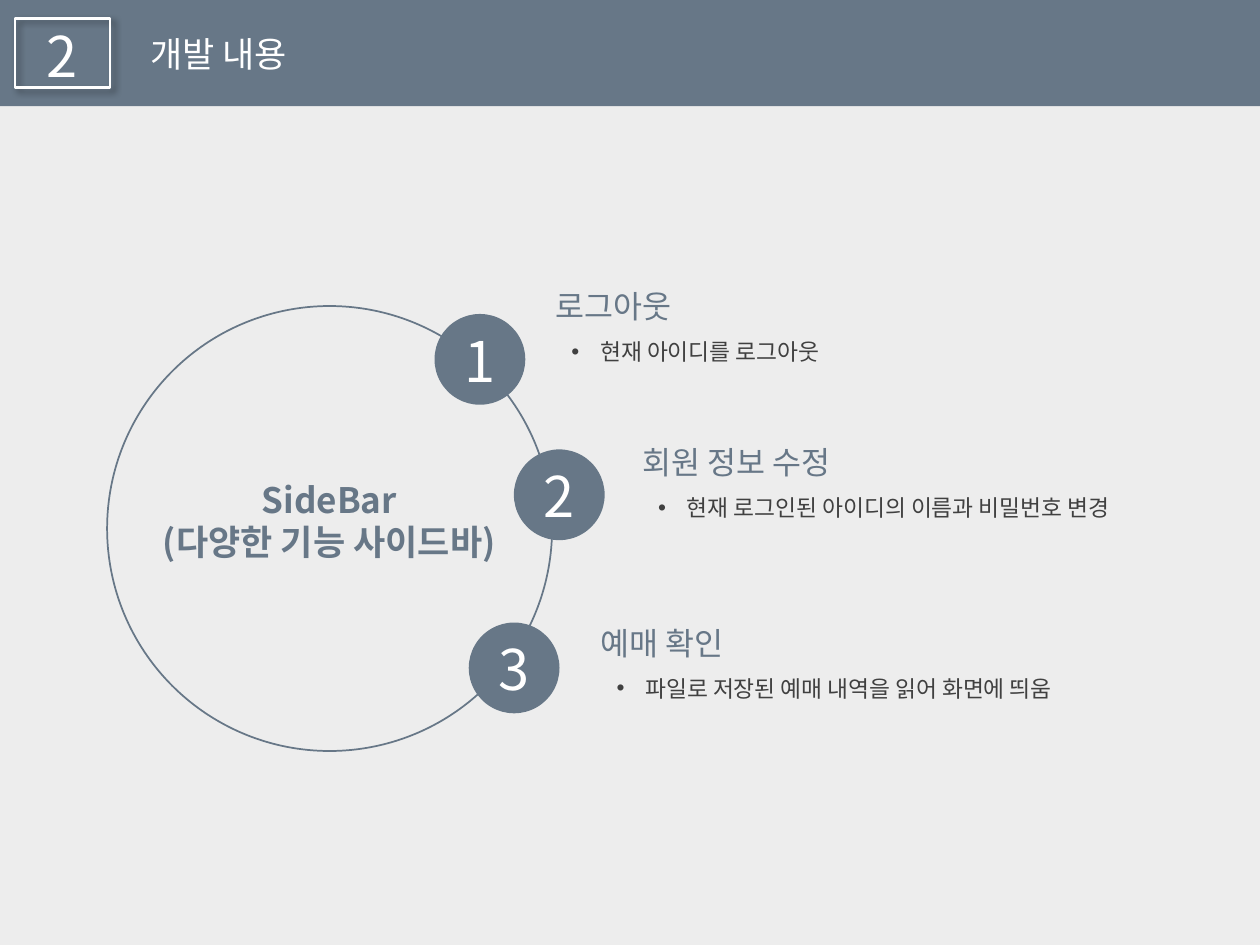
"""Build the sidebar features slide: a header band and three features around a ring."""
from lxml.etree import SubElement
from pptx import Presentation
from pptx.dml.color import RGBColor
from pptx.enum.shapes import MSO_SHAPE
from pptx.enum.text import MSO_ANCHOR, MSO_AUTO_SIZE, PP_ALIGN
from pptx.oxml.ns import qn
from pptx.util import Cm, Pt

FONT = "Noto Sans CJK KR"
COLORS = {"slate": "677787", "text": "404040", "white": "FFFFFF", "back": "EDEDED"}


def add_shape(kind, x, y, w, h, fill=None, line=None, width=1):
    sp = s.shapes.add_shape(kind, Cm(x), Cm(y), Cm(w), Cm(h))
    sp.shadow.inherit = False
    if fill:
        sp.fill.solid()
        sp.fill.fore_color.rgb = RGBColor.from_string(COLORS[fill])
    else:
        sp.fill.background()
    if line:
        sp.line.color.rgb = RGBColor.from_string(COLORS[line])
        sp.line.width = Pt(width)
    else:
        sp.line.fill.background()
    return sp


def add_text(text, x, y, w, h, size=18, color="slate", bold=False,
             align=PP_ALIGN.LEFT, bullet=False, sp=None):
    sp = sp or s.shapes.add_textbox(0, 0, 0, 0)
    sp.left, sp.top, sp.width, sp.height = Cm(x), Cm(y), Cm(w), Cm(h)
    tf = sp.text_frame
    tf.word_wrap = True
    tf.auto_size = MSO_AUTO_SIZE.SHAPE_TO_FIT_TEXT
    tf.vertical_anchor = MSO_ANCHOR.TOP
    for i, line in enumerate(text.split("\n")):
        p = tf.add_paragraph() if i else tf.paragraphs[0]
        p.alignment = align
        r = p.add_run()
        r.text = line
        r.font.size = Pt(size)
        r.font.bold = bold
        r.font.color.rgb = RGBColor.from_string(COLORS[color])
        r.font.name = FONT
        SubElement(r._r.get_or_add_rPr(), qn("a:ea"), typeface=FONT)
        if bullet:
            pPr = p._p.get_or_add_pPr()
            pPr.set("marL", str(Cm(0.58)))
            pPr.set("indent", str(-Cm(0.58)))
            SubElement(pPr, qn("a:buFont"), typeface="Arial")
            SubElement(pPr, qn("a:buChar"), char="•")
    return sp


prs = Presentation()
prs.slide_width, prs.slide_height = Cm(25.4), Cm(19.05)
s = prs.slides.add_slide(prs.slide_layouts[5])
s.background.fill.solid()
s.background.fill.fore_color.rgb = RGBColor.from_string(COLORS["back"])

band = add_shape(MSO_SHAPE.RECTANGLE, 0, 0, 25.4, 2.14, fill="slate")
title = add_text("개발 내용", 2.77, 0.53, 6.3, 1.07, size=20, color="white", sp=s.shapes.title)
band._element.addnext(title._element)

frame = add_shape(MSO_SHAPE.RECTANGLE, 0.3, 0.37, 1.92, 1.4, line="white", width=1.5)
effects = frame._element.spPr.find(qn("a:effectLst"))
shadow = SubElement(effects, qn("a:outerShdw"), blurRad=str(Pt(4)), dist=str(Pt(3)),
                    dir="2700000", algn="tl", rotWithShape="0")
black = SubElement(shadow, qn("a:srgbClr"), val="000000")
SubElement(black, qn("a:alpha"), val="40000")
add_text("2", 0.69, 0.31, 1.7, 1.6, size=32, color="white")

add_shape(MSO_SHAPE.OVAL, 2.16, 6.17, 8.97, 8.97, line="slate")
add_text("SideBar\n(다양한 기능 사이드바)", 2.74, 9.53, 7.8, 1.96, size=20, bold=True,
         align=PP_ALIGN.CENTER)

features = [
    ("로그아웃", "현재 아이디를 로그아웃", 8.76, 6.33, 10.95, 5.66),
    ("회원 정보 수정", "현재 로그인된 아이디의 이름과 비밀번호 변경", 10.36, 9.06, 12.7, 8.81),
    ("예매 확인", "파일로 저장된 예매 내역을 읽어 화면에 띄움", 9.45, 12.55, 11.86, 12.45),
]
for number, (heading, detail, cx, cy, x, y) in enumerate(features, 1):
    add_shape(MSO_SHAPE.OVAL, cx, cy, 1.83, 1.83, fill="slate")
    add_text(str(number), cx + 0.07, cy + 0.12, 1.7, 1.6, size=32, color="white",
             align=PP_ALIGN.CENTER)
    add_text(heading, x, y, 5.23, 1.02)
    add_text(detail, x + 0.32, y + 1.02, 10.6, 0.8, size=13, color="text", bullet=True)

prs.save("out.pptx")
